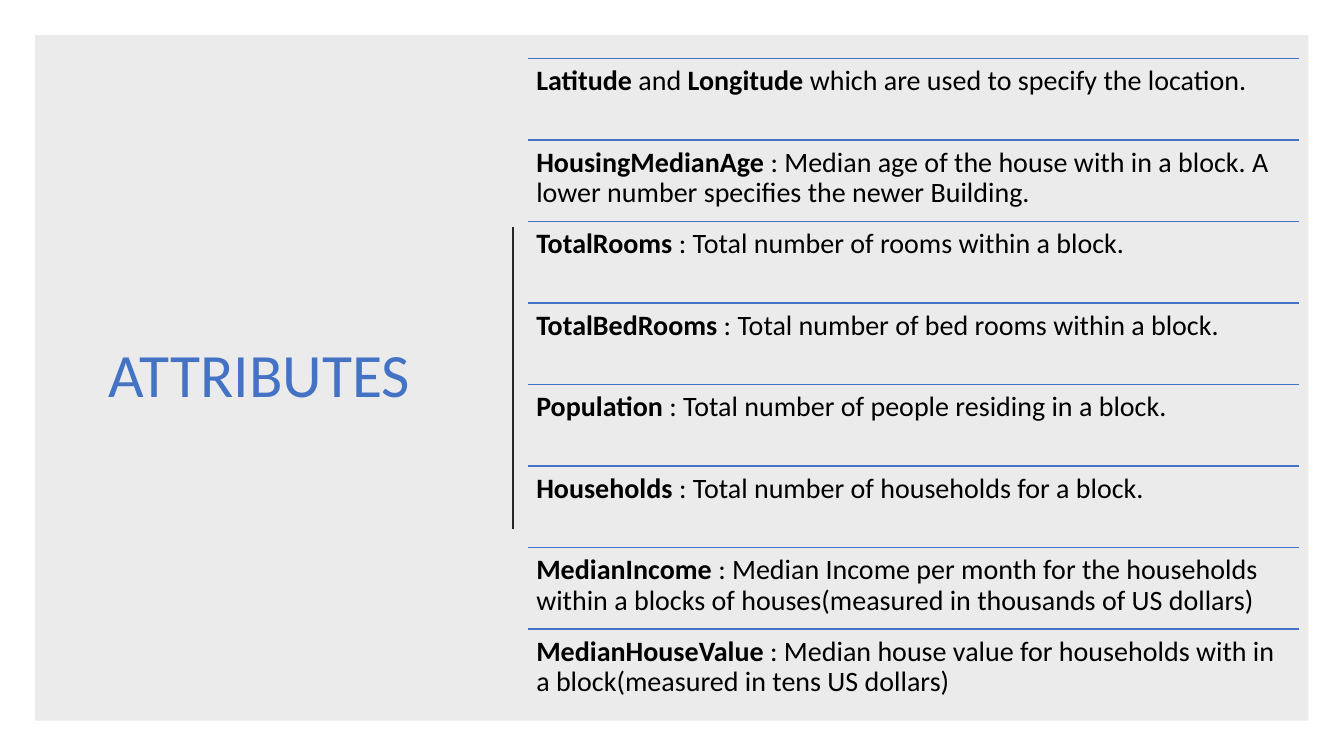
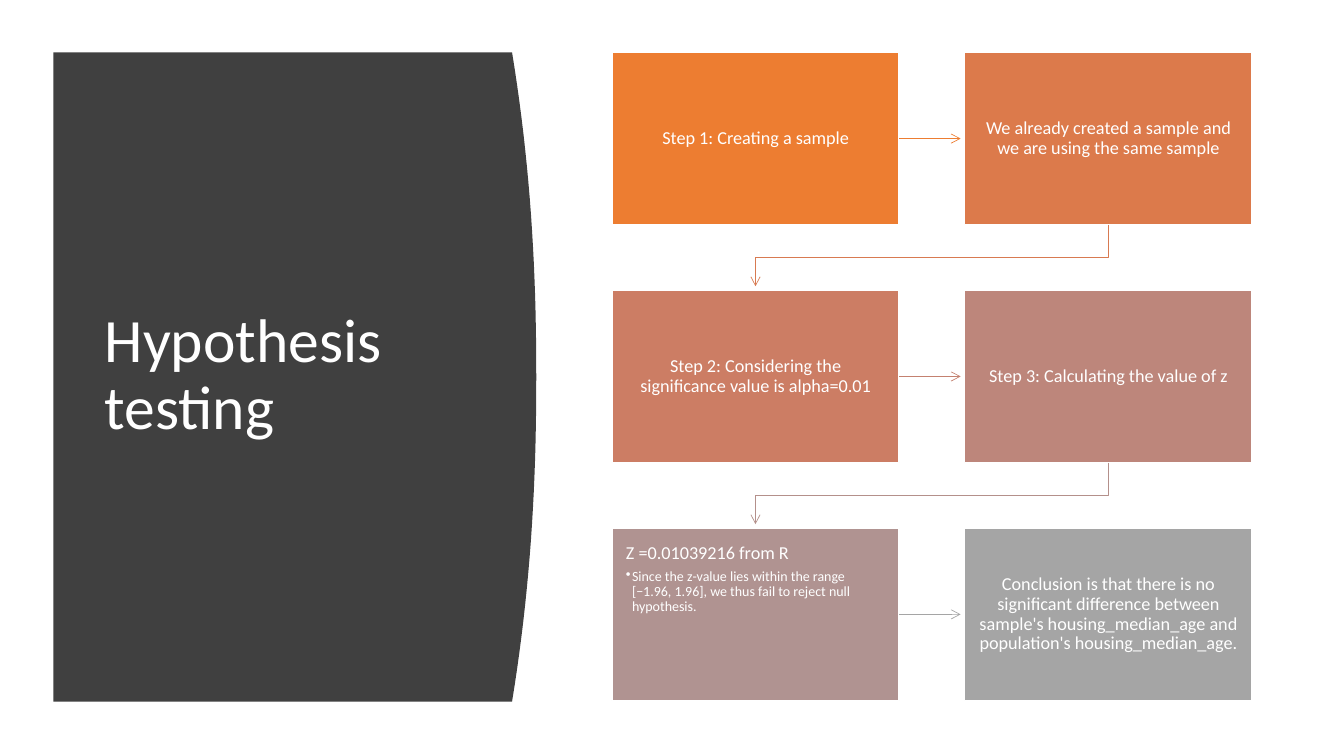
from lxml import etree
from pptx import Presentation
from pptx.dml.color import RGBColor
from pptx.enum.shapes import MSO_CONNECTOR as CONN, MSO_SHAPE as SHAPE
from pptx.enum.text import MSO_ANCHOR as ANCHOR, PP_ALIGN as ALIGN
from pptx.oxml.ns import qn
from pptx.util import Pt

PX = 9144
FONT = "Calibri"
BLACK = RGBColor(0x00, 0x00, 0x00)
WHITE = RGBColor(0xFF, 0xFF, 0xFF)
BLUE = RGBColor(0x44, 0x72, 0xC4)
INK = RGBColor(0x26, 0x26, 0x26)
CHARCOAL = RGBColor(0x40, 0x40, 0x40)

ATTRIBUTES = [
    [("Latitude", True), (" and ", False), ("Longitude ", True),
     ("which are used to specify the location.", False)],
    [("HousingMedianAge ", True),
     (": Median age of the house with in a block. A lower number specifies the newer Building.", False)],
    [("TotalRooms ", True), (": Total number of rooms within a block.", False)],
    [("TotalBedRooms ", True), (": Total number of bed rooms within a block.", False)],
    [("Population ", True), (": Total number of people residing in a block.", False)],
    [("Households ", True), (": Total number of households for a block.", False)],
    [("MedianIncome ", True),
     (": Median Income per month for the households within a blocks of houses"
      "(measured in thousands of US dollars)", False)],
    [("MedianHouseValue ", True),
     (": Median house value for households with in a block(measured in tens US dollars)", False)],
]

STEPS = [
    (RGBColor(0xED, 0x7D, 0x31), ["Step 1: Creating a sample"]),
    (RGBColor(0xDC, 0x7A, 0x4B), ["We already created a sample and we are using the same sample"]),
    (RGBColor(0xCC, 0x7D, 0x64), ["Step 2: Considering the significance value is alpha=0.01"]),
    (RGBColor(0xBD, 0x86, 0x7B), ["Step 3: Calculating the value of z"]),
    (RGBColor(0xB0, 0x93, 0x91), [
        "Z =0.01039216 from R",
        "Since the z-value lies within the range [−1.96, 1.96], we thus fail to reject null hypothesis."]),
    (RGBColor(0xA5, 0xA5, 0xA5), [
        "Conclusion is that there is no significant difference between "
        "sample's housing_median_age and population's housing_median_age."]),
]
ARROWS = [
    RGBColor(0xED, 0x7D, 0x31), RGBColor(0xD8, 0x7A, 0x51), RGBColor(0xC4, 0x81, 0x70),
    RGBColor(0xB4, 0x90, 0x8B), RGBColor(0xA5, 0xA5, 0xA5),
]


def px(*lengths):
    """Turn px lengths into EMU."""
    return [round(n * PX) for n in lengths]


def set_insets(tf, x, y):
    """Set equal side insets and equal top and bottom insets, in px."""
    tf.margin_left = tf.margin_right = x * PX
    tf.margin_top = tf.margin_bottom = y * PX


def style_paragraph(p, size, color, align=ALIGN.LEFT, after=0):
    """Format a paragraph and all its runs."""
    p.alignment = align
    p.line_spacing = 0.9
    p.space_after = Pt(after)
    for r in p.runs:
        r.font.name = FONT
        r.font.size = Pt(size)
        r.font.color.rgb = color


def add_bullet(p, indent):
    """Give a paragraph a hanging round bullet."""
    pPr = p._p.get_or_add_pPr()
    pPr.set("marL", str(indent * PX))
    pPr.set("indent", str(-indent * PX))
    etree.SubElement(pPr, qn("a:buChar")).set("char", "•")


def add_textbox(slide, box):
    """Add a wrapping text box and return its text frame."""
    tf = slide.shapes.add_textbox(*px(*box)).text_frame
    tf.word_wrap = True
    return tf


def add_title(slide, box, text, color, align=ALIGN.LEFT):
    """Add the slide title, centred vertically in its box."""
    tf = add_textbox(slide, box)
    tf.vertical_anchor = ANCHOR.MIDDLE
    tf.text = text
    style_paragraph(tf.paragraphs[0], 44, color, align)


def add_line(slide, ends, color, width, kind=CONN.STRAIGHT, arrow=False):
    """Add a line or arrow between two points."""
    line = slide.shapes.add_connector(kind, *px(*ends))
    line.line.color.rgb = color
    line.line.width = Pt(width)
    if arrow:
        etree.SubElement(line.line._get_or_add_ln(), qn("a:tailEnd")).set("type", "arrow")
    etree.SubElement(line._element.spPr, qn("a:effectLst"))
    return line


def add_elbow_arrow(slide, start, end, color):
    """Add an arrow that goes down, left and down again."""
    (x1, y1), (x2, y2) = start, end
    across, down = x1 - x2, y2 - y1
    left, top = (x1 + x2 - down) / 2, (y1 + y2 - across) / 2
    arrow = add_line(slide, (left, top, left + down, top + across), color, 0.5, CONN.ELBOW, True)
    spPr = arrow._element.spPr
    spPr.find(qn("a:xfrm")).set("rot", "5400000")
    guide = etree.SubElement(spPr.find(qn("a:prstGeom")).find(qn("a:avLst")), qn("a:gd"))
    guide.set("name", "adj1")
    guide.set("fmla", "val 53000")


def add_rect(slide, box, fill):
    """Add a plain filled rectangle."""
    sp = slide.shapes.add_shape(SHAPE.RECTANGLE, *px(*box))
    sp.shadow.inherit = False
    sp.fill.solid()
    sp.fill.fore_color.rgb = fill
    return sp


def add_panel(slide, box):
    """Add the faint grey panel behind the attributes."""
    sp = add_rect(slide, box, BLACK)
    sp.line.fill.background()
    color = sp._element.spPr.find(qn("a:solidFill"))[0]
    etree.SubElement(color, qn("a:alpha")).set("val", "8000")


def add_attribute_list(slide, box, rows):
    """Add ruled rows of attribute descriptions, equally high."""
    left, top, width, height = box
    pitch = height / len(rows)
    for i, parts in enumerate(rows):
        y = top + i * pitch
        add_line(slide, (left, y, left + width, y), BLUE, 1)
        tf = add_textbox(slide, (left, y, width, pitch))
        set_insets(tf, 8, 8)
        p = tf.paragraphs[0]
        for text, bold in parts:
            r = p.add_run()
            r.text = text
            r.font.bold = bold
        style_paragraph(p, 20, BLACK)


def add_curved_panel(slide, box, bulge, steps=40):
    """Add a dark panel whose right side bows outwards."""
    left, top, width, height = box
    edge = left + width - bulge
    curve = []
    for i in range(steps + 1):
        t = 2 * i / steps - 1
        curve.append((edge + bulge * (1 - abs(t) ** 2.2), top + height * i / steps))
    fb = slide.shapes.build_freeform(*px(left, top))
    fb.add_line_segments([px(*pt) for pt in curve] + [px(left, top + height)], close=True)
    sp = fb.convert_to_shape()
    sp.shadow.inherit = False
    sp.fill.solid()
    sp.fill.fore_color.rgb = CHARCOAL
    sp.line.fill.background()


def add_step(slide, box, fill, texts):
    """Add a step box: centred text, or a heading with bullets."""
    sp = add_rect(slide, box, fill)
    sp.line.color.rgb = WHITE
    sp.line.width = Pt(1)
    tf = sp.text_frame
    tf.word_wrap = True
    set_insets(tf, 14, 15)
    tf.text = "\n".join(texts)
    head, *bullets = tf.paragraphs
    tf.vertical_anchor = ANCHOR.TOP if bullets else ANCHOR.MIDDLE
    style_paragraph(head, 13, WHITE, ALIGN.LEFT if bullets else ALIGN.CENTER, 4.5)
    for p in bullets:
        style_paragraph(p, 10, WHITE, after=1.5)
        add_bullet(p, 6)
    return sp


def add_step_flow(slide, box, cols=2, rows=3, gap_x=65, gap_y=65, tip=4):
    """Add the grid of steps, joined row by row with arrows."""
    left, top, width, height = box
    w = (width - gap_x * (cols - 1)) // cols
    h = (height - gap_y * (rows - 1)) // rows
    spots = [(left + i % cols * (w + gap_x), top + i // cols * (h + gap_y))
             for i in range(len(STEPS))]
    boxes = [add_step(slide, (x, y, w, h), *step) for (x, y), step in zip(spots, STEPS)]
    for i, color in enumerate(ARROWS):
        (x1, y1), (x2, y2) = spots[i], spots[i + 1]
        if y1 == y2:
            mid = y1 + h / 2
            arrow = add_line(slide, (x1 + w, mid, x2 - tip, mid), color, 0.5, arrow=True)
            arrow.begin_connect(boxes[i], 3)
        else:
            add_elbow_arrow(slide, (x1 + w / 2, y1 + h), (x2 + w / 2, y2 - tip), color)


def build_attributes(slide):
    """Build the slide that lists the data attributes."""
    add_panel(slide, (35, 35, 1263, 680))
    add_title(slide, (35, 105, 382, 539), "ATTRIBUTES", BLUE, ALIGN.RIGHT)
    add_line(slide, (509, 225, 509, 525), INK, 1.5)
    add_attribute_list(slide, (524, 58, 765, 647), ATTRIBUTES)


def build_hypothesis(slide):
    """Build the slide with the steps of the hypothesis test."""
    add_curved_panel(slide, (53, 52, 479, 644), 24)
    add_title(slide, (94, 111, 374, 524), "Hypothesis testing", WHITE)
    add_step_flow(slide, (607, 52, 635, 643))


def main():
    """Build and save the presentation."""
    prs = Presentation()
    prs.slide_width, prs.slide_height = 12192000, 6858000
    for build in (build_attributes, build_hypothesis):
        build(prs.slides.add_slide(prs.slide_layouts[6]))
    prs.save("out.pptx")


if __name__ == "__main__":
    main()
